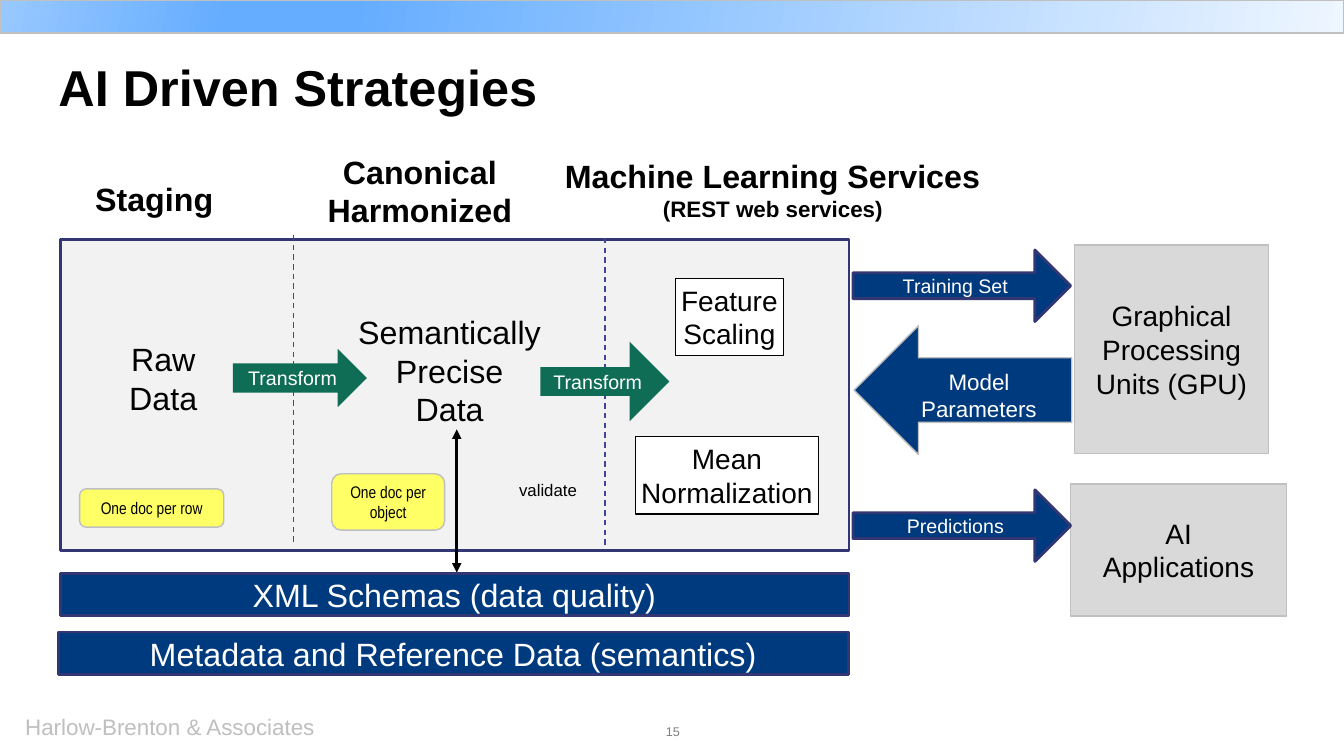
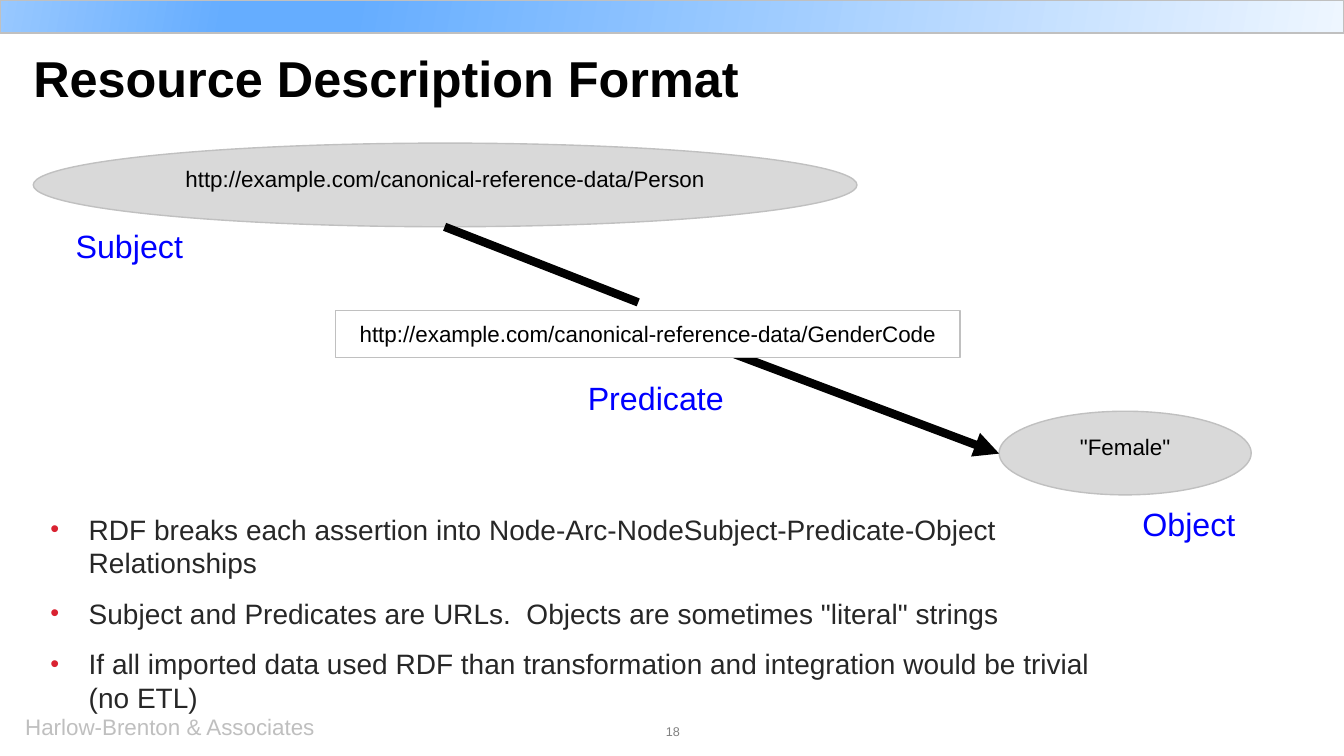
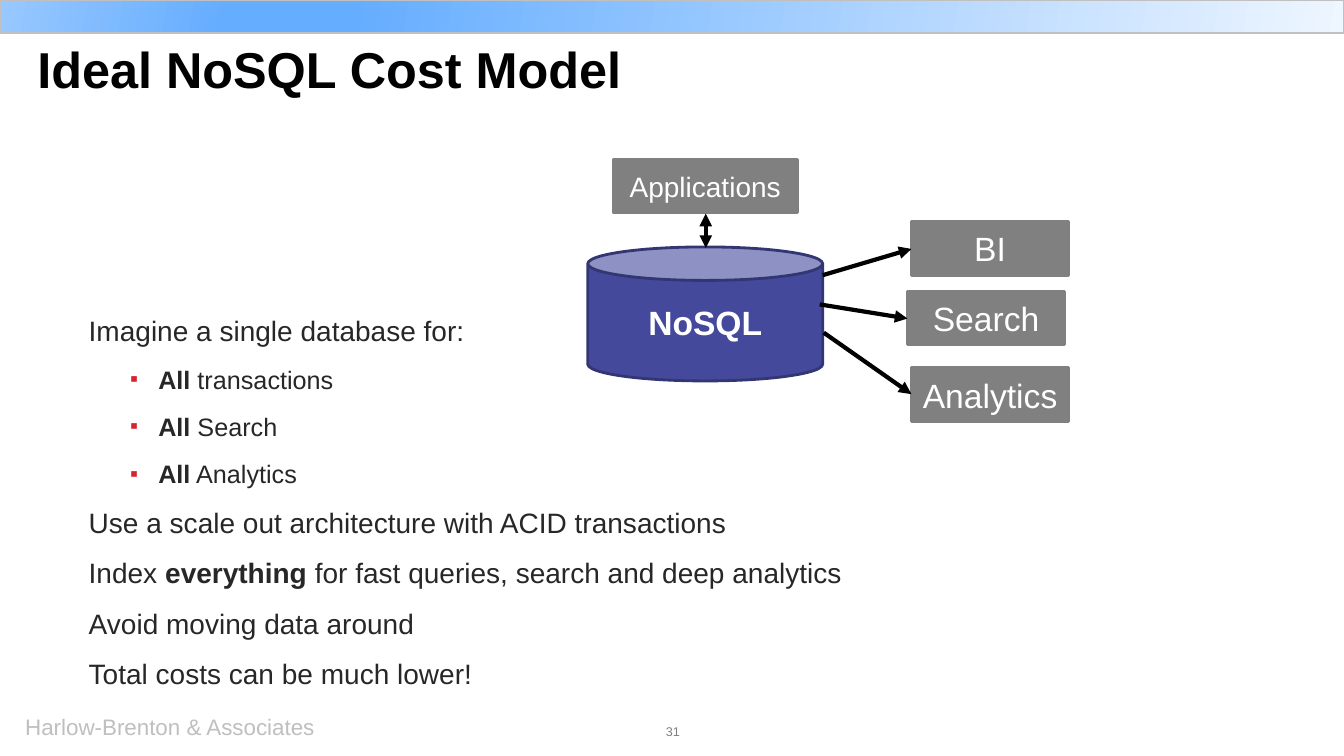
from dataclasses import dataclass
from typing import Any, Optional

from lxml.etree import SubElement
from pptx import Presentation
from pptx.dml.color import RGBColor
from pptx.enum.dml import MSO_LINE
from pptx.enum.shapes import MSO_CONNECTOR, MSO_SHAPE
from pptx.enum.text import MSO_ANCHOR, MSO_AUTO_SIZE, PP_ALIGN
from pptx.oxml.ns import qn
from pptx.util import Inches, Pt

BLACK = RGBColor(0x01, 0x01, 0x01)
WHITE = RGBColor(0xFF, 0xFF, 0xFF)
INK = RGBColor(0x27, 0x27, 0x27)
PALE = RGBColor(0xF2, 0xF2, 0xF2)
LIGHT = RGBColor(0xD9, 0xD9, 0xD9)
SILVER = RGBColor(0xC0, 0xC0, 0xC0)
ASH = RGBColor(0xBF, 0xBF, 0xBF)
GRAY = RGBColor(0x80, 0x80, 0x80)
NAVY = RGBColor(0x00, 0x3A, 0x7E)
EDGE = RGBColor(0x32, 0x36, 0x73)
DASH = RGBColor(0x40, 0x45, 0x9B)
INDIGO = RGBColor(0x44, 0x49, 0x9C)
GREEN = RGBColor(0x0F, 0x6D, 0x56)
YELLOW = RGBColor(0xFF, 0xFF, 0x66)
BLUE = RGBColor(0x00, 0x00, 0xFF)
RED = RGBColor(0xD9, 0x22, 0x31)
SKY = RGBColor(0x65, 0xAD, 0xFF)
BAND = [
    (0, RGBColor(0xEE, 0xF6, 0xFF)),
    (74, SKY),
    (83, SKY),
    (100, RGBColor(0x98, 0xC8, 0xFF)),
]
BAND_ANGLE = 190

RECT = MSO_SHAPE.RECTANGLE
ROUND = MSO_SHAPE.ROUNDED_RECTANGLE
OVAL = MSO_SHAPE.OVAL
RIGHT = MSO_SHAPE.RIGHT_ARROW
LEFT = MSO_SHAPE.LEFT_ARROW
CAN = MSO_SHAPE.CAN
MIDDLE = MSO_ANCHOR.MIDDLE
TOP = MSO_ANCHOR.TOP

Place = tuple[float, float, float, float]
Point = tuple[float, float]
ZERO = (0, 0)
SNUG = (0.05, 0.05)
PLAIN = (0.1, 0.05)
ROOMY = (0.2, 0.1)


@dataclass
class Box:
    kind: MSO_SHAPE
    at: Place
    text: str = ""
    size: int = 20
    fill: RGBColor = WHITE
    edge: Optional[RGBColor] = None
    weight: float = 1
    color: RGBColor = BLACK
    font: str = "Arial"
    bold: bool = False
    inset: Point = PLAIN
    anchor: MSO_ANCHOR = MIDDLE
    wrap: bool = True
    waist: Optional[float] = None


@dataclass
class Label:
    at: Place
    text: str
    size: int = 23
    color: RGBColor = BLACK
    bold: bool = False
    inset: Point = ZERO
    align: PP_ALIGN = PP_ALIGN.CENTER


@dataclass
class Line:
    start: Point
    end: Point
    color: RGBColor = BLACK
    weight: float = 3
    dash: bool = False
    head: bool = False
    tail: bool = True


@dataclass
class Item:
    text: str
    size: int = 20
    level: int = 0
    mark: str = ""
    left: float = 0.1
    hang: float = 0


def place(shape: Any, at: Place) -> None:
    shape.left, shape.top, shape.width, shape.height = map(Inches, at)


def style(part: Any, text: str, *, size: int, color: RGBColor = BLACK,
          font: str = "Arial", bold: bool = False,
          align: PP_ALIGN = PP_ALIGN.LEFT) -> None:
    part.alignment = align
    for turn, piece in enumerate(text.split("*")):
        if piece:
            run = part.add_run()
            run.text = piece
            run.font.name = font
            run.font.size = Pt(size)
            run.font.bold = bold or turn % 2 == 1
            run.font.color.rgb = color


def frame_up(shape: Any, inset: Point = ZERO, anchor: MSO_ANCHOR = TOP,
             wrap: bool = True) -> Any:
    frame = shape.text_frame
    frame.auto_size = MSO_AUTO_SIZE.NONE
    frame.word_wrap = wrap
    frame.vertical_anchor = anchor
    frame.margin_left = frame.margin_right = Inches(inset[0])
    frame.margin_top = frame.margin_bottom = Inches(inset[1])
    return frame


def write(frame: Any, text: str, **form: Any) -> None:
    for row, words in enumerate(text.split("\n")):
        part = frame.add_paragraph() if row else frame.paragraphs[0]
        style(part, words, **form)


def draw_box(slide: Any, box: Box) -> Any:
    shape = slide.shapes.add_shape(box.kind, *map(Inches, box.at))
    shape.shadow.inherit = False
    shape.fill.solid()
    shape.fill.fore_color.rgb = box.fill
    if box.edge is None:
        shape.line.fill.background()
    else:
        shape.line.color.rgb = box.edge
        shape.line.width = Pt(box.weight)
    if box.waist:
        shape.adjustments[0] = box.waist
    if box.text:
        frame = frame_up(shape, box.inset, box.anchor, box.wrap)
        write(frame, box.text, size=box.size, color=box.color, font=box.font,
              bold=box.bold, align=PP_ALIGN.CENTER)
    return shape


def draw_label(slide: Any, label: Label) -> Any:
    shape = slide.shapes.add_textbox(*map(Inches, label.at))
    frame = frame_up(shape, label.inset, wrap=False)
    write(frame, label.text, size=label.size, color=label.color,
          bold=label.bold, align=label.align)
    return frame


def draw_line(slide: Any, line: Line) -> None:
    ends = map(Inches, (*line.start, *line.end))
    link = slide.shapes.add_connector(MSO_CONNECTOR.STRAIGHT, *ends)
    link.line.color.rgb = line.color
    link.line.width = Pt(line.weight)
    if line.dash:
        link.line.dash_style = MSO_LINE.DASH
    stroke = link.line._get_or_add_ln()
    for shown, tag in ((line.head, "a:headEnd"), (line.tail, "a:tailEnd")):
        if shown:
            SubElement(stroke, qn(tag), type="triangle")
    SubElement(link._element.spPr, qn("a:effectLst"))


def draw_all(slide: Any, parts: list[Any]) -> None:
    tools = {Box: draw_box, Label: draw_label, Line: draw_line}
    for part in parts:
        tools[type(part)](slide, part)


def draw_band(slide: Any) -> None:
    band = draw_box(slide, Box(RECT, (0, 0, 13.33, 0.33), edge=SILVER))
    band.fill.gradient()
    grad = band._element.spPr.find(qn("a:gradFill"))
    stops = grad.find(qn("a:gsLst"))
    for stop in list(stops):
        stops.remove(stop)
    for spot, color in BAND:
        stop = SubElement(stops, qn("a:gs"), pos=str(spot * 1000))
        SubElement(stop, qn("a:srgbClr"), val=str(color))
    grad.find(qn("a:lin")).set("ang", str(BAND_ANGLE * 60000))


def new_slide(deck: Any, layout: int, title: str, at: Place, page: int) -> Any:
    slide = deck.slides.add_slide(deck.slide_layouts[layout])
    draw_band(slide)
    draw_label(slide, Label((0.25, 7.08, 2.88, 0.27),
                            "Harlow-Brenton & Associates", 16, ASH,
                            align=PP_ALIGN.LEFT))
    draw_label(slide, Label((3.91, 7.18, 5.53, 0.3), str(page), 9, GRAY))
    head = slide.shapes.title
    place(head, at)
    frame = frame_up(head)
    write(frame, title, size=36, bold=True)
    frame.paragraphs[0].line_spacing = Pt(40)
    return slide


def fill_list(slide: Any, at: Place, items: list[Item]) -> None:
    body = slide.placeholders[1]
    place(body, at)
    frame = frame_up(body)
    for row, item in enumerate(items):
        part = frame.add_paragraph() if row else frame.paragraphs[0]
        part.level = item.level
        props = part._p.get_or_add_pPr()
        props.set("marL", str(Inches(item.left)))
        props.set("indent", str(Inches(item.hang)))
        if item.mark:
            tint = SubElement(props, qn("a:buClr"))
            SubElement(tint, qn("a:srgbClr"), val=str(RED))
            SubElement(props, qn("a:buSzPct"), val="90000")
            SubElement(props, qn("a:buFont"), typeface="Arial")
            SubElement(props, qn("a:buChar"), char=item.mark)
        else:
            SubElement(props, qn("a:buNone"))
        part.space_before = Pt(6 if row else 0)
        part.space_after = Pt(6)
        style(part, item.text, size=item.size, color=INK)


def build_plan(deck: Any) -> None:
    slide = new_slide(deck, 5, "AI Driven Strategies",
                      (0.58, 0.6, 10.47, 0.64), 15)
    navy = dict(fill=NAVY, edge=EDGE, weight=2, color=WHITE)
    send = dict(size=14, waist=0.36, **navy)
    shift = dict(text="Transform", size=14, fill=GREEN, color=WHITE)
    note = dict(size=12, fill=YELLOW, edge=ASH, font="Arial Narrow")
    host = dict(fill=LIGHT, edge=SILVER, inset=ROOMY)
    step = dict(edge=BLACK, weight=0.75, inset=SNUG, anchor=TOP, wrap=False)
    draw_all(slide, [
        Box(RECT, (0.6, 2.38, 7.82, 3.08), fill=PALE, edge=EDGE, weight=2),
        Label((0.84, 1.73, 1.38, 0.49), "Staging", bold=True, inset=PLAIN),
        Label((3.14, 1.46, 2.05, 0.88), "Canonical\nHarmonized", bold=True,
              inset=PLAIN),
    ])
    service = draw_label(slide, Label(
        (5.49, 1.5, 4.35, 0.76),
        "Machine Learning Services\n(REST web services)", bold=True,
        inset=PLAIN))
    service.paragraphs[1].runs[0].font.size = Pt(16)
    draw_all(slide, [
        Line((2.91, 2.33), (2.91, 5.41), DASH, 1, dash=True, tail=False),
        Line((6, 2.36), (6, 5.44), DASH, 1, dash=True, tail=False),
        Box(RIGHT, (2.31, 3.46, 1.33, 0.58), **shift),
        Box(RIGHT, (5.36, 3.39, 1.28, 0.79), waist=0.36, **shift),
        Box(ROUND, (0.79, 4.85, 1.43, 0.38), "One doc per row", **note),
        Box(ROUND, (3.29, 4.7, 1.12, 0.56), "One doc per object", **note),
        Line((4.53, 4.26), (4.53, 5.68), weight=2.25, head=True),
        Label((5.05, 4.71, 0.78, 0.3), "validate", 12, inset=PLAIN,
              align=PP_ALIGN.LEFT),
        Label((1.28, 3.37, 0.68, 0.77), "Raw\nData"),
        Label((3.42, 3.1, 2.08, 1.16), "Semantically\nPrecise\nData"),
        Box(RECT, (0.6, 5.69, 7.82, 0.42), "XML Schemas (data quality)", 23,
            **navy),
        Box(RECT, (0.58, 6.27, 7.84, 0.42),
            "Metadata and Reference Data (semantics)", 23, **navy),
        Box(RECT, (10.66, 2.43, 1.92, 2.07),
            "Graphical\nProcessing\nUnits (GPU)", **host),
        Box(RIGHT, (8.46, 2.48, 2.16, 0.71), "Training Set", **send),
        Box(LEFT, (8.47, 3.23, 2.16, 1.28), "Model\nParameters", 16, NAVY,
            SILVER, color=WHITE, inset=ROOMY, anchor=TOP),
        Box(RECT, (6.7, 2.76, 1.07, 0.77), "Feature\nScaling", **step),
        Box(RECT, (6.3, 4.33, 1.82, 0.77), "Mean\nNormalization", **step),
        Box(RECT, (10.62, 4.8, 2.14, 1.31), "AI Applications", **host),
        Box(RIGHT, (8.46, 4.86, 2.16, 0.71), "Predictions", **send),
    ])


def build_graph(deck: Any) -> None:
    slide = new_slide(deck, 1, "Resource Description Format",
                      (0.33, 0.51, 10.47, 0.64), 18)
    point = dict(mark="•", left=0.47, hang=-0.38)
    fill_list(slide, (0.41, 5.08, 10.42, 1.58), [
        Item("RDF breaks each assertion into Node-Arc-NodeSubject-Predicate-"
             "Object Relationships", **point),
        Item("Subject and Predicates are URLs.  Objects are sometimes "
             "\"literal\" strings", **point),
        Item("If all imported data used RDF than transformation and "
             "integration would be trivial (no ETL)", **point),
    ])
    base = "http://example.com/canonical-reference-data/"
    node = dict(size=16, edge=SILVER, inset=ROOMY, anchor=TOP)
    role = dict(color=BLUE, align=PP_ALIGN.LEFT)
    draw_all(slide, [
        Box(OVAL, (0.33, 1.42, 8.17, 0.83), base + "Person", fill=LIGHT,
            **node),
        Box(OVAL, (9.91, 4.08, 2.5, 0.83), "\"Female\"", fill=LIGHT, **node),
        Line((4.41, 2.25), (6.33, 3), weight=6, tail=False),
        Line((7.25, 3.5), (9.91, 4.5), weight=6),
        Box(RECT, (3.33, 3.08, 6.19, 0.47), base + "GenderCode", wrap=False,
            **node),
        Label((0.75, 2.25, 1.08, 0.39), "Subject", **role),
        Label((11.33, 5, 0.93, 0.39), "Object", **role),
        Label((5.83, 3.75, 1.36, 0.39), "Predicate", **role),
    ])


def build_cost(deck: Any) -> None:
    slide = new_slide(deck, 1, "Ideal NoSQL Cost Model",
                      (0.37, 0.42, 10.26, 0.64), 31)
    uses = [Item(f"*All* {use}", 18, 1, "▪", 0.79, -0.28)
            for use in ("transactions", "Search", "Analytics")]
    fill_list(slide, (0.78, 3.11, 8.02, 3.78), [
        Item("Imagine a single database for:"),
        *uses,
        Item("Use a scale out architecture with ACID transactions"),
        Item("Index *everything* for fast queries, search and deep analytics"),
        Item("Avoid moving data around"),
        Item("Total costs can be much lower!"),
    ])
    tile = dict(fill=GRAY, edge=GRAY, weight=2, color=WHITE)
    draw_all(slide, [
        Box(CAN, (5.83, 2.45, 2.33, 1.33), "NoSQL", 24, INDIGO, EDGE, 2,
            WHITE, bold=True),
        Box(RECT, (9.04, 2.2, 1.56, 0.53), "BI", 24, **tile),
        Box(RECT, (9, 2.89, 1.56, 0.53), "Search", 24, **tile),
        Box(RECT, (6.08, 1.58, 1.83, 0.53), "Applications", **tile),
        Box(RECT, (9.04, 3.65, 1.56, 0.53), "Analytics", 24, **tile),
        Line((7, 2.12), (7, 2.46), head=True),
        Line((8.16, 2.73), (9.04, 2.47)),
        Line((8.13, 3.02), (9, 3.16)),
        Line((8.17, 3.3), (9.04, 3.91)),
    ])


def main() -> None:
    deck = Presentation()
    deck.slide_width, deck.slide_height = Inches(13.33), Inches(7.5)
    build_plan(deck)
    build_graph(deck)
    build_cost(deck)
    deck.save("out.pptx")


if __name__ == "__main__":
    main()
